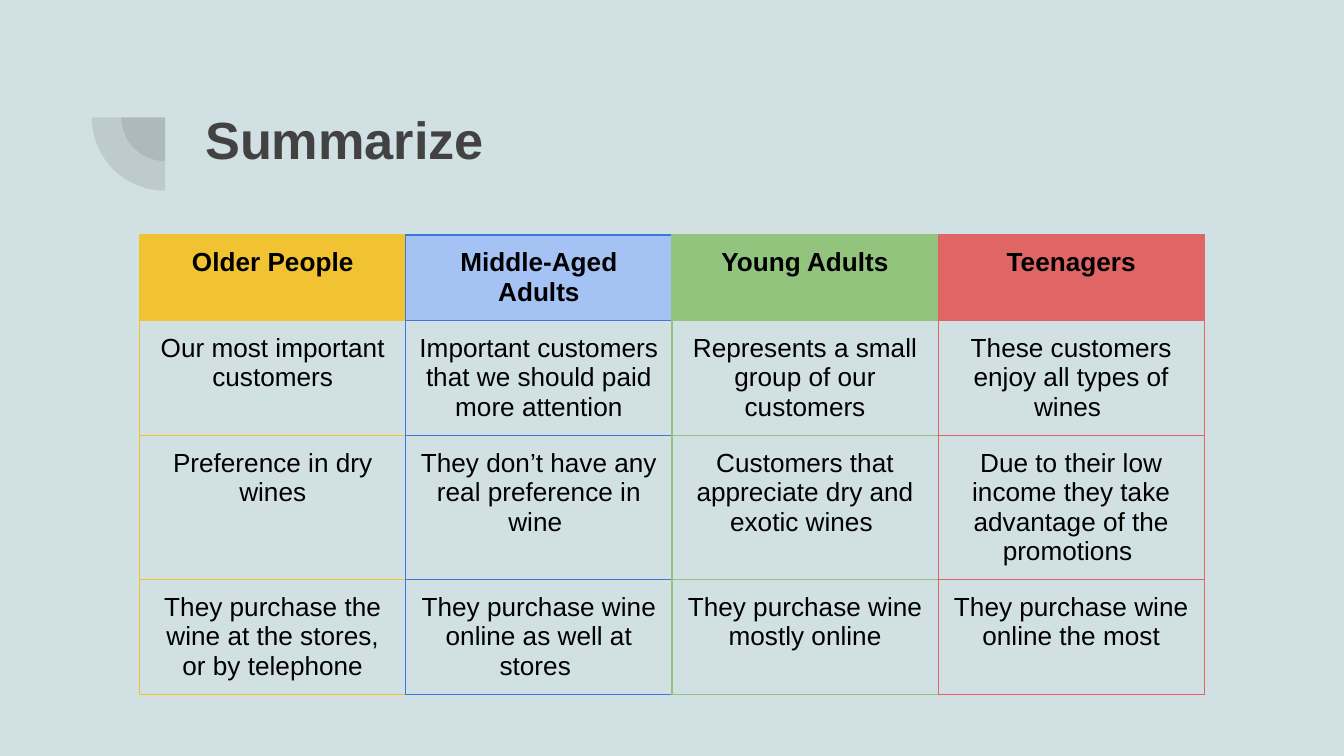
import lxml.etree
import pptx
import pptx.dml.color
import pptx.enum.shapes
import pptx.enum.text
import pptx.oxml.ns
import pptx.util

Cm = pptx.util.Cm
RGB = pptx.dml.color.RGBColor.from_string
qn = pptx.oxml.ns.qn

COLORS = {
    "background": "D0E0E3",
    "title": "424242",
    "text": "000000",
    "yellow": "F1C232",
    "blue": "3C78D8",
    "light blue": "A4C2F4",
    "green": "93C47D",
    "red": "E06666",
}

# Header fill, border color, then the texts from the header downwards
CUSTOMER_GROUPS = [
    ("yellow", "yellow", [
        "Older People",
        "Our most important customers",
        "Preference in dry wines",
        "They purchase the wine at the stores, or by telephone",
    ]),
    ("light blue", "blue", [
        "Middle-Aged Adults",
        "Important customers that we should paid more attention",
        "They don’t have any real preference in wine ",
        "They purchase wine online as well at stores ",
    ]),
    ("green", "green", [
        "Young Adults",
        "Represents a small group of our customers",
        "Customers that appreciate dry and exotic wines ",
        "They purchase wine mostly online",
    ]),
    ("red", "red", [
        "Teenagers",
        "These customers enjoy all types of wines ",
        "Due to their low income they take advantage of the promotions ",
        "They purchase wine online the most",
    ]),
]
ROW_HEIGHTS = [1.62, 2.17, 2.72, 2.17]
COLUMN_WIDTH = 5.03


def add_run(paragraph, text, size, color, bold):
    """Append a formatted Arial run to the paragraph."""
    run = paragraph.add_run()
    run.text = text
    run.font.name = "Arial"
    run.font.size = pptx.util.Pt(size)
    run.font.bold = bold
    run.font.color.rgb = RGB(COLORS[color])


def add_border(cell, side, color):
    """Draw a 0.75 pt line on one side (L, R, T or B) of the cell."""
    properties = cell._tc.get_or_add_tcPr()
    line = lxml.etree.SubElement(
        properties, qn(f"a:ln{side}"), w=str(pptx.util.Pt(0.75)))
    fill = lxml.etree.SubElement(line, qn("a:solidFill"))
    lxml.etree.SubElement(fill, qn("a:srgbClr"), val=COLORS[color])


presentation = pptx.Presentation()
presentation.slide_width = Cm(25.4)
presentation.slide_height = Cm(14.29)
slide = presentation.slides.add_slide(presentation.slide_layouts[5])
slide.background.fill.solid()
slide.background.fill.fore_color.rgb = RGB(COLORS["background"])

# Two concentric quarter circles beside the title
center_x, center_y = 3.12, 2.22
for diameter in (1.65, 2.77):
    quarter = slide.shapes.add_shape(
        pptx.enum.shapes.MSO_SHAPE.PIE,
        Cm(center_x - diameter / 2), Cm(center_y - diameter / 2),
        Cm(diameter), Cm(diameter))
    quarter.rotation = 270
    quarter.adjustments[0] = 108
    quarter.adjustments[1] = 162
    quarter.shadow.inherit = False
    quarter.line.fill.background()
    quarter.fill.solid()
    quarter.fill.fore_color.rgb = RGB(COLORS["title"])
    fill_color = quarter.fill._xPr.find(".//" + qn("a:srgbClr"))
    lxml.etree.SubElement(fill_color, qn("a:alpha"), val="13000")

title = slide.shapes.title
title.left, title.top = Cm(3.63), Cm(1.65)
title.width, title.height = Cm(19.53), Cm(2.77)
title_frame = title.text_frame
title_frame.vertical_anchor = pptx.enum.text.MSO_ANCHOR.TOP
title_frame.auto_size = pptx.enum.text.MSO_AUTO_SIZE.NONE
title_frame.margin_left = title_frame.margin_right = Cm(0.25)
title_frame.margin_top = Cm(0.37)
title_frame.paragraphs[0].alignment = pptx.enum.text.PP_ALIGN.LEFT
add_run(title_frame.paragraphs[0], "Summarize", 28, "title", True)

table = slide.shapes.add_table(
    len(ROW_HEIGHTS), len(CUSTOMER_GROUPS), Cm(2.64), Cm(4.44),
    Cm(COLUMN_WIDTH * len(CUSTOMER_GROUPS)), Cm(sum(ROW_HEIGHTS))).table
table.first_row = False
table.horz_banding = False
for row, height in zip(table.rows, ROW_HEIGHTS):
    row.height = Cm(height)

for column_index, (header_fill, border, texts) in enumerate(CUSTOMER_GROUPS):
    table.columns[column_index].width = Cm(COLUMN_WIDTH)
    # A shared vertical edge takes the color of the group on its right
    next_group = min(column_index + 1, len(CUSTOMER_GROUPS) - 1)
    right_border = CUSTOMER_GROUPS[next_group][1]
    for row_index, text in enumerate(texts):
        is_header = row_index == 0
        cell = table.cell(row_index, column_index)
        cell.margin_left = cell.margin_right = Cm(0.25)
        cell.margin_top = cell.margin_bottom = Cm(0.25)
        for side in "LRTB":
            add_border(cell, side, right_border if side == "R" else border)
        if is_header:
            cell.fill.solid()
            cell.fill.fore_color.rgb = RGB(COLORS[header_fill])
        else:
            cell.fill.background()
        paragraph = cell.text_frame.paragraphs[0]
        paragraph.alignment = pptx.enum.text.PP_ALIGN.CENTER
        add_run(paragraph, text, 14, "text", is_header)

presentation.save("out.pptx")
